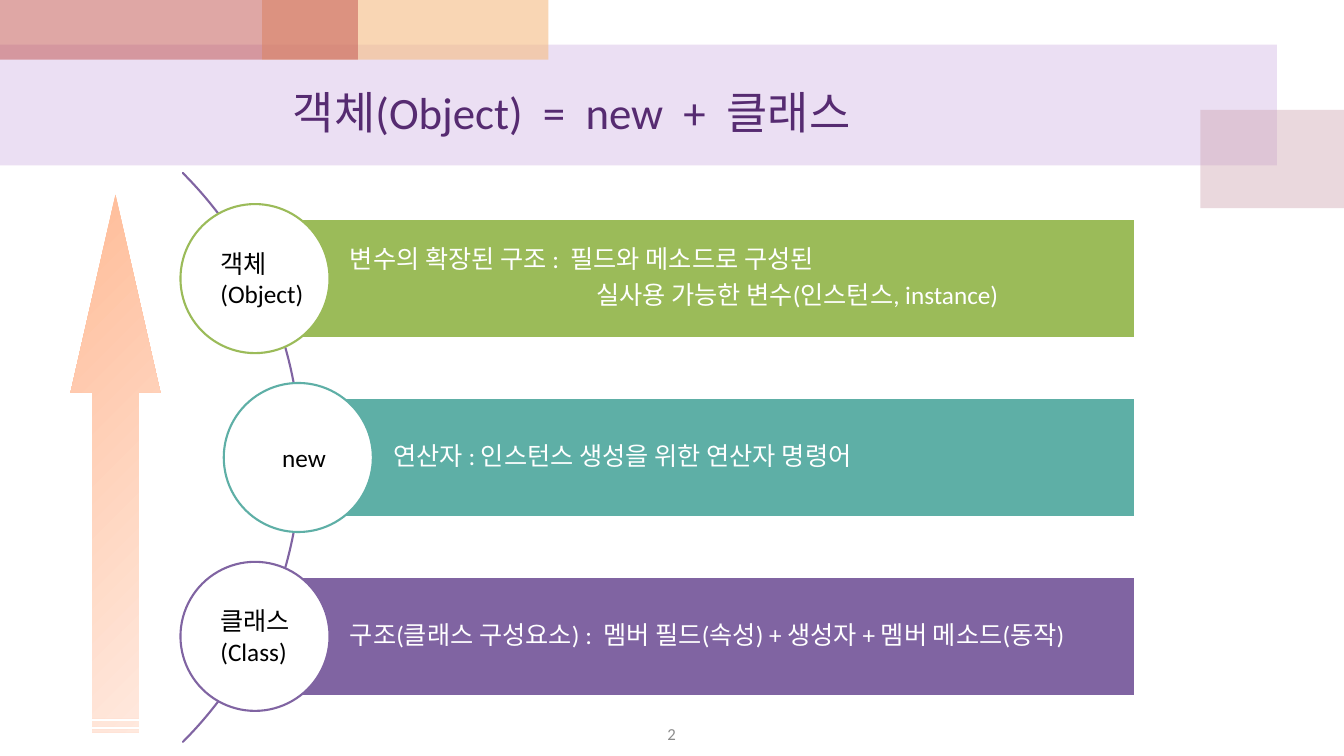
from dataclasses import dataclass
from math import sqrt

from lxml.etree import SubElement
from pptx import Presentation
from pptx.dml.color import RGBColor
from pptx.enum.shapes import MSO_SHAPE as Preset
from pptx.enum.text import MSO_ANCHOR as Anchor, PP_ALIGN as Align
from pptx.oxml.ns import qn
from pptx.util import Inches, Pt

CELL = 13.33 / 160


@dataclass(frozen=True)
class Theme:
    """Colours, font and type sizes of the slide."""
    font: str = "Calibri"
    title_size: int = 32
    body_size: int = 18
    page_size: int = 12
    line_width: float = 1.5
    white: str = "FFFFFF"
    black: str = "000000"
    title: str = "562B71"
    page: str = "8C8C8C"
    band: str = "BF98D8"
    rose: str = "CC9EAC"
    apricot: str = "F5BC83"
    red: str = "C0504D"
    green: str = "9BBB59"
    teal: str = "5EAFA6"
    purple: str = "8064A2"
    arrow_tip: str = "FFBC98"
    arrow_tail: str = "FFEAE0"


@dataclass(frozen=True)
class Box:
    """A rectangle in cells of the 160 by 90 grid."""
    left: float
    top: float
    width: float
    height: float

    def inner(self, left, top, width, height):
        """Return a box placed relative to this one."""
        return Box(self.left + left, self.top + top, width, height)

    def lengths(self):
        """Return the place and size as slide lengths."""
        return [cells(n) for n in (self.left, self.top, self.width, self.height)]


THEME = Theme()
ROWS = [
    dict(color=THEME.green, indent=8.6, label="객체(Object)", label_shift=-5.3,
         label_size=(13.2, 8.5),
         lines=[("변수의 확장된 구조 :  필드와 메소드로 구성된", 0),
                ("실사용 가능한 변수(인스턴스, instance)", 29.3)]),
    dict(color=THEME.teal, indent=13.76, label="new", label_shift=-3.1,
         label_size=(8.3, 4.8),
         lines=[("연산자 : 인스턴스 생성을 위한 연산자 명령어", 0)]),
    dict(color=THEME.purple, indent=8.6, label="클래스(Class)", label_shift=-5.3,
         label_size=(13.2, 8.5),
         lines=[("구조(클래스 구성요소) :  멤버 필드(속성) + 생성자 + 멤버 메소드(동작)", 0)]),
]


def cells(count):
    """Convert grid cells to a slide length."""
    return Inches(count * CELL)


def apply(target, values):
    """Set every format value on the target."""
    for name, value in values.items():
        setattr(target, name, value)


def add_block(slide, preset, box, fill=None, line=None, alpha=None):
    """Add a flat preset shape, optionally translucent or outlined."""
    block = slide.shapes.add_shape(preset, *box.lengths())
    block.shadow.inherit = False
    if fill:
        block.fill.solid()
        block.fill.fore_color.rgb = RGBColor.from_string(fill)
    else:
        block.fill.background()
    if alpha:
        tint = block._element.spPr.find(".//" + qn("a:srgbClr"))
        SubElement(tint, qn("a:alpha")).set("val", str(alpha * 1000))
    if line:
        block.line.color.rgb = RGBColor.from_string(line)
        block.line.width = Pt(THEME.line_width)
    else:
        block.line.fill.background()
    return block


def write(frame, lines, size, color, paragraph_format, **frame_format):
    """Fill a text frame with (text, indent) lines."""
    apply(frame, dict(word_wrap=True, **frame_format))
    for index, (text, indent) in enumerate(lines):
        paragraph = frame.add_paragraph() if index else frame.paragraphs[0]
        apply(paragraph, paragraph_format)
        if indent:
            paragraph._p.get_or_add_pPr().set("marL", str(cells(indent)))
        run = paragraph.add_run()
        run.text = text
        apply(run.font, dict(name=THEME.font, size=Pt(size)))
        run.font.color.rgb = RGBColor.from_string(color)


def add_text(slide, box, text, size, color, align, anchor):
    """Add a one-paragraph text box."""
    frame = slide.shapes.add_textbox(*box.lengths()).text_frame
    write(frame, [(text, 0)], size, color, dict(alignment=align),
          vertical_anchor=anchor)


def header(slide, box):
    """Draw the translucent colour blocks and the title."""
    for place, color, alpha in [
        ((0, 5.3, 152, 14.4), THEME.band, 30),
        ((142.9, 13.1, 17.1, 11.7), THEME.rose, 40),
        ((31.2, 0, 34.1, 7.1), THEME.apricot, 60),
        ((0, 0, 42.6, 7.1), THEME.red, 50),
    ]:
        add_block(slide, Preset.RECTANGLE, box.inner(*place), color, alpha=alpha)
    add_text(slide, box.inner(0, 10.1, 136.1, 6.4), "객체(Object)  =  new  +  클래스",
             THEME.title_size, THEME.title, Align.CENTER, Anchor.MIDDLE)


def concept_row(slide, box, row):
    """Draw one bar with its circle and label, centred on the box's left edge."""
    bar_height, circle = box.height * 2 / 3, box.height * 5 / 6
    middle = box.height / 2
    bar = add_block(slide, Preset.RECTANGLE,
                    box.inner(0, middle - bar_height / 2, box.width, bar_height),
                    row["color"], THEME.white)
    write(bar.text_frame, row["lines"], THEME.body_size, THEME.white,
          dict(alignment=Align.LEFT, line_spacing=0.9, space_after=Pt(6.3)),
          vertical_anchor=Anchor.MIDDLE, margin_left=cells(11.3),
          margin_right=cells(0.6), margin_top=cells(0.6), margin_bottom=cells(0.6))
    add_block(slide, Preset.OVAL,
              box.inner(-circle / 2, middle - circle / 2, circle, circle),
              THEME.white, row["color"])
    width, height = row["label_size"]
    add_text(slide, box.inner(row["label_shift"], middle - height / 2, width, height),
             row["label"], THEME.body_size, THEME.black, Align.LEFT, Anchor.TOP)


def concept_arc(slide, box, rows, pitch=21.3):
    """Draw a quarter arc as tall as the box and the rows strung along it."""
    diameter = box.height * sqrt(2)
    arc = add_block(slide, Preset.BLOCK_ARC,
                    box.inner(-(box.height + diameter) / 2,
                              (box.height - diameter) / 2, diameter, diameter),
                    line=THEME.purple)
    for index, value in enumerate((189, 27, 0)):
        arc.adjustments[index] = value
    first = (box.height - pitch * len(rows)) / 2
    for index, row in enumerate(rows):
        place = box.inner(row["indent"], first + index * pitch,
                          box.width - row["indent"], pitch)
        concept_row(slide, place, row)


def upward_arrow(slide, box):
    """Draw a striped arrow that points up and fills the box."""
    lying = box.inner((box.width - box.height) / 2, (box.height - box.width) / 2,
                      box.height, box.width)
    arrow = add_block(slide, Preset.STRIPED_RIGHT_ARROW, lying)
    arrow.rotation = 270
    for index, value in enumerate((0.52, 2.2)):
        arrow.adjustments[index] = value
    arrow.fill.gradient()
    arrow.fill.gradient_angle = 225
    for stop, color in zip(arrow.fill.gradient_stops,
                           (THEME.arrow_tip, THEME.arrow_tail)):
        stop.color.rgb = RGBColor.from_string(color)


def main():
    """Build and save the slide."""
    deck = Presentation()
    apply(deck, dict(slide_width=Inches(13.33), slide_height=Inches(7.5)))
    slide = deck.slides.add_slide(deck.slide_layouts[6])
    header(slide, Box(0, 0, 160, 24.8))
    concept_arc(slide, Box(21.76, 20.6, 113.36, 67.76), ROWS)
    add_text(slide, Box(61.3, 85.8, 37.3, 3.2), "2", THEME.page_size, THEME.page,
             Align.CENTER, Anchor.MIDDLE)
    upward_arrow(slide, Box(8.4, 23.2, 10.7, 64))
    deck.save("out.pptx")


if __name__ == "__main__":
    main()
